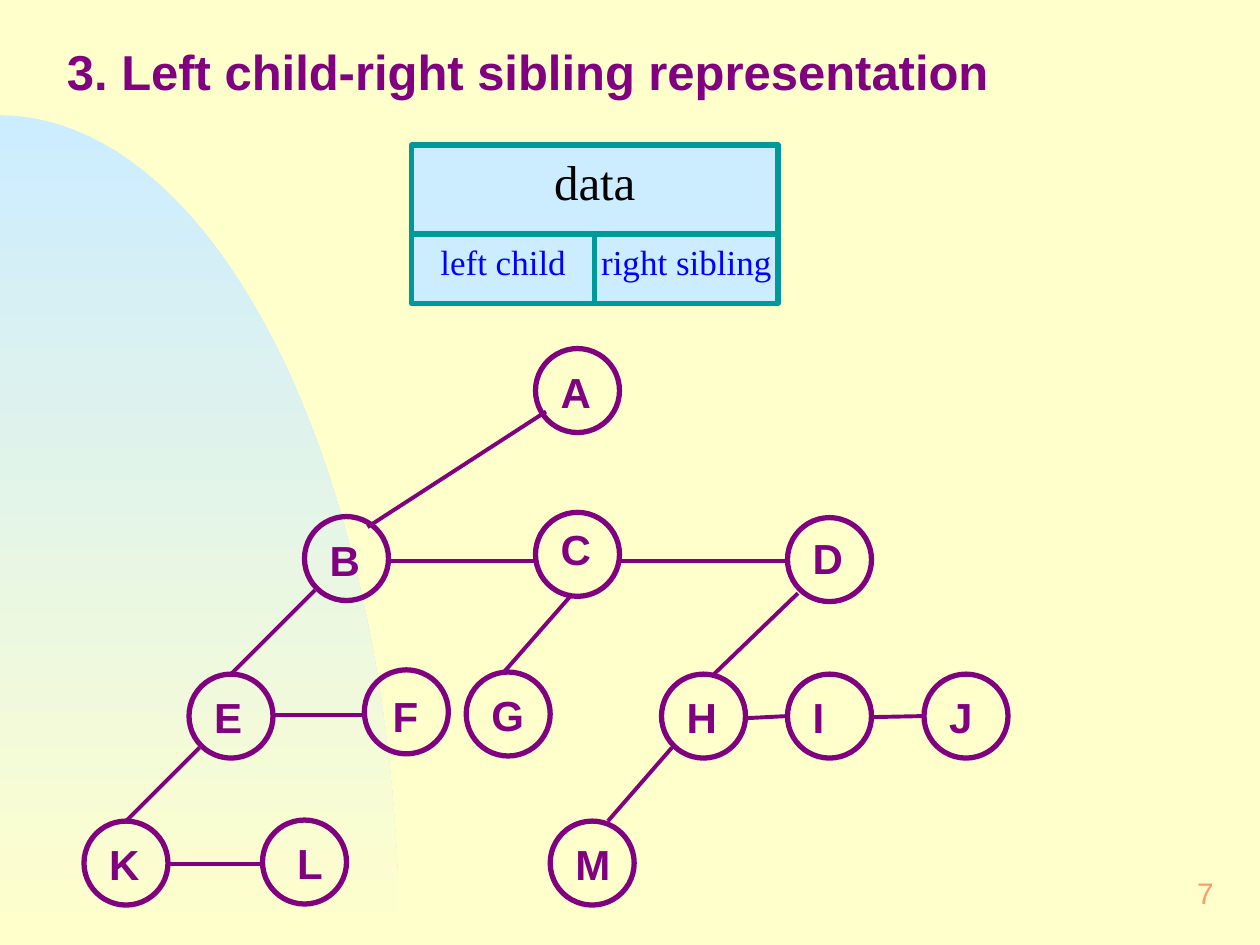
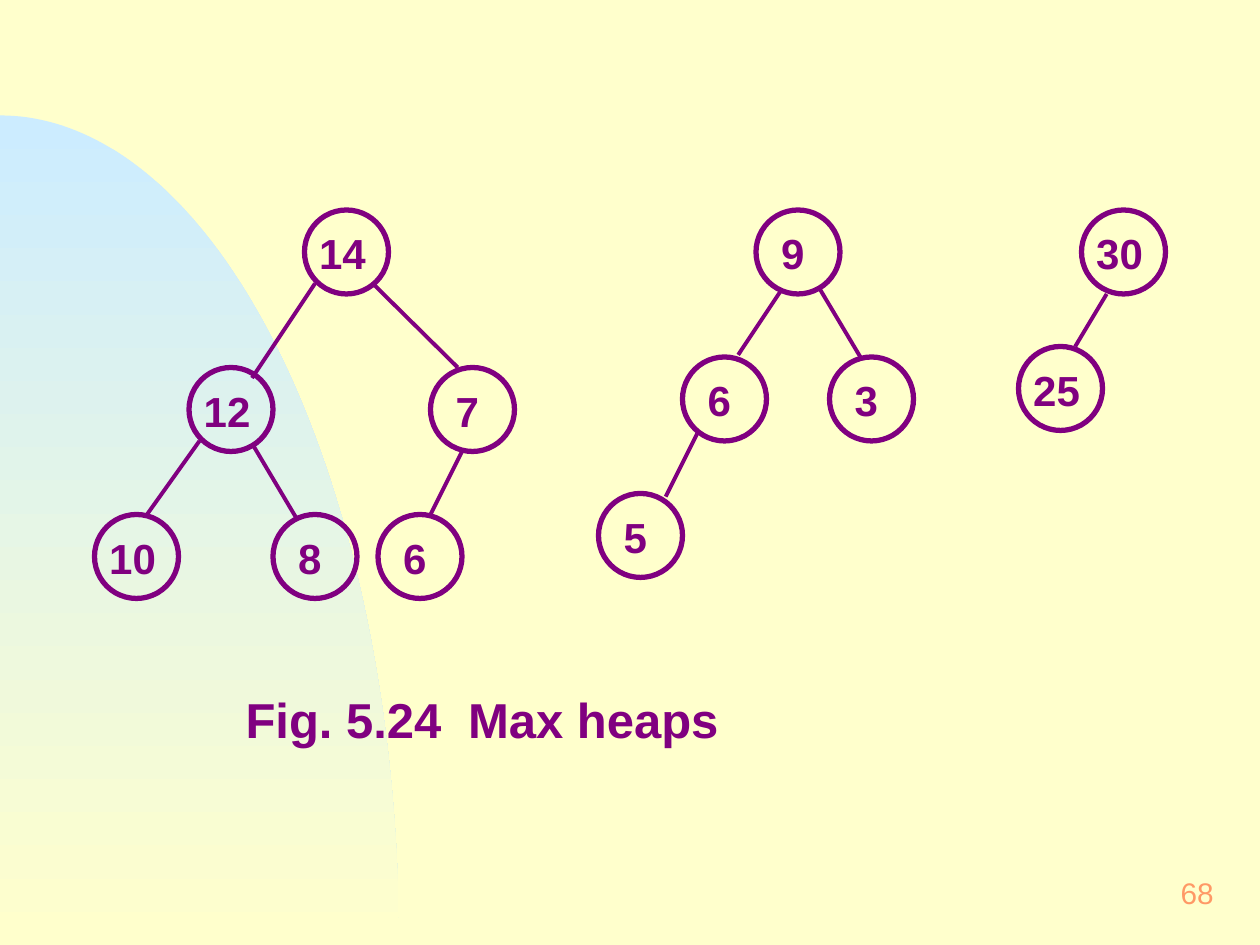
from dataclasses import dataclass
from math import cos, pi, sin

from lxml.etree import SubElement
from pptx import Presentation
from pptx.dml.color import RGBColor
from pptx.enum.shapes import MSO_CONNECTOR, MSO_SHAPE
from pptx.enum.text import MSO_ANCHOR, PP_ALIGN
from pptx.oxml.ns import qn
from pptx.util import Inches, Pt

CREAM = RGBColor(0xFF, 0xFF, 0xCC)
SKY = RGBColor(0xCC, 0xEC, 0xFF)
PURPLE = RGBColor(0x80, 0x00, 0x80)
TEAL = RGBColor(0x00, 0x99, 0x99)
BLUE = RGBColor(0x00, 0x00, 0xFF)
NEAR_BLACK = RGBColor(0x01, 0x00, 0x00)
ORANGE = RGBColor(0xFF, 0x99, 0x66)

SANS, SERIF = "Arial", "Times New Roman"
CELL = Inches(10) // 120  # the slide is a grid of 120 columns by 90 rows
COLUMNS, ROWS = 120, 90
NODE = 8  # diameter of a tree node, in cells


def grid(*cells):
    return [round(cell * CELL) for cell in cells]


def write(frame, text, size=24, font=SANS, color=PURPLE, bold=True, align=PP_ALIGN.LEFT,
          anchor=MSO_ANCHOR.TOP, wrap=True, inset=1.4, tab=None):
    """Fill a text frame with one formatted line; inset and tab are in cells."""
    frame.word_wrap = wrap
    frame.vertical_anchor = anchor
    frame.margin_left, frame.margin_right = grid(inset, inset)
    frame.margin_top, frame.margin_bottom = grid(inset / 2, inset / 2)
    paragraph = frame.paragraphs[0]
    paragraph.alignment = align
    if tab:
        stops = SubElement(paragraph._p.get_or_add_pPr(), qn("a:tabLst"))
        SubElement(stops, qn("a:tab"), pos=str(grid(tab)[0]), algn="l")
    run = paragraph.add_run()
    run.text = text
    run.font.name, run.font.size, run.font.bold = font, Pt(size), bold
    run.font.color.rgb = color


@dataclass
class Node:
    """A tree node: top left corner, and the offset of its label."""
    column: float
    row: float
    label_x: float = 1
    label_y: float = 1

    def point(self, offset):
        return self.column + offset[0], self.row + offset[1]


class Deck:
    def __init__(self):
        self.presentation = Presentation()
        self.presentation.slide_width = COLUMNS * CELL
        self.presentation.slide_height = ROWS * CELL

    def slide(self, number):
        self.current = self.presentation.slides.add_slide(self.presentation.slide_layouts[6])
        self.shapes = self.current.shapes
        background = self.current.background.fill
        background.solid()
        background.fore_color.rgb = CREAM
        self.dome()
        self.text(str(number), 92, 82, 25, 6, size=17, color=ORANGE, bold=False,
                  align=PP_ALIGN.RIGHT, anchor=MSO_ANCHOR.MIDDLE)

    def dome(self, width=38, height=79, steps=90):
        """Quarter ellipse that fades downwards in the lower left corner."""
        angles = [pi / 2 * step / steps for step in range(steps + 1)]
        arc = [grid(width * sin(angle), ROWS - height * cos(angle)) for angle in angles]
        outline = self.shapes.build_freeform(*grid(0, ROWS))
        outline.add_line_segments(arc)
        dome = outline.convert_to_shape()
        dome.shadow.inherit = False
        dome.line.fill.background()
        dome.fill.gradient()
        dome.fill.gradient_angle = 270
        for stop, color, position in zip(dome.fill.gradient_stops, (SKY, CREAM), (0, 1)):
            stop.color.rgb, stop.position = color, position

    def group(self):
        """Send the following elements to a new group on the current slide."""
        self.shapes = self.current.shapes.add_group_shape().shapes

    def text(self, text, column, row, width, height, **style):
        write(self.shapes.add_textbox(*grid(column, row, width, height)).text_frame,
              text, **style)

    def outlined(self, preset, column, row, width, height, line, fill=None):
        shape = self.shapes.add_shape(preset, *grid(column, row, width, height))
        shape.shadow.inherit = False
        shape.line.color.rgb, shape.line.width = line, Pt(3)
        if fill is None:
            shape.fill.background()
        else:
            shape.fill.solid()
            shape.fill.fore_color.rgb = fill
        return shape

    def field(self, text, column, row, width, height, **style):
        box = self.outlined(MSO_SHAPE.RECTANGLE, column, row, width, height, TEAL, SKY)
        write(box.text_frame, text, font=SERIF, bold=False, align=PP_ALIGN.CENTER,
              wrap=False, inset=1.2, **style)

    def edge(self, start, end):
        line = self.shapes.add_connector(MSO_CONNECTOR.STRAIGHT, *grid(*start, *end))
        line.line.color.rgb, line.line.width = PURPLE, Pt(2.25)
        SubElement(line._element.spPr, qn("a:effectLst"))

    def tree(self, nodes, edges):
        """Edges are (parent, child, offset in parent, offset in child)."""
        for label, node in nodes.items():
            self.outlined(MSO_SHAPE.OVAL, node.column, node.row, NODE, NODE, PURPLE)
            wide = len(label) > 1
            offset = (0 if wide else node.label_x, node.label_y)
            self.text(label, *node.point(offset), 9 if wide else 6, 6.2)
        for parent, child, leave, arrive in edges:
            self.edge(nodes[parent].point(leave), nodes[child].point(arrive))


def sibling_slide(deck):
    deck.slide(7)
    deck.text("3. Left child-right sibling representation", 5.2, 3.4, 109.7, 6.8,
              size=28, inset=1.2)

    # Record layout of one node
    deck.group()
    left, top, half, data_height = 39.2, 13.8, 17.45, 8.5
    deck.field("data", left, top, 2 * half, data_height, size=28, color=NEAR_BLACK)
    for index, name in enumerate(("left child", "right sibling")):
        deck.field(name, left + index * half, top + data_height, half, 6.6,
                   size=20, color=BLUE)

    # Tree: left children go down, siblings go right
    deck.group()
    nodes = {
        "A": Node(51, 33.2),
        "B": Node(29, 49.2), "C": Node(51, 48.8, label_y=0.4),
        "D": Node(75, 49.3, label_y=0.7),
        "E": Node(18, 64.2), "F": Node(34.7, 63.8, 1.3, 1.3), "G": Node(44.4, 64),
        "H": Node(63, 64.2), "I": Node(75, 64.2), "J": Node(88, 64.2),
        "K": Node(8, 78.2), "L": Node(25, 78.1, label_x=1.9), "M": Node(52.4, 78.2),
    }
    left_children = [
        ("A", "B", (1, 6), (6, 1)),
        ("B", "E", (1, 7), (4, 0)),
        ("C", "G", (3.4, 7.9), (3.6, 0)),
        ("D", "H", (1, 7.2), (5, 0)),
        ("E", "K", (1, 7), (4, 0)),
        ("H", "M", (1, 7), (5.5, 0)),
    ]
    siblings = [
        (first, second, (NODE, leave), (0, arrive))
        for first, second, leave, arrive in (
            ("B", "C", 4.2, 4.6), ("C", "D", 4.6, 4.1), ("E", "F", 3.9, 4.3),
            ("H", "I", 4.2, 4), ("I", "J", 4.1, 4), ("K", "L", 4.1, 4.2))
    ]
    deck.tree(nodes, left_children + siblings)


def heaps_slide(deck):
    deck.slide(68)
    deck.text("Fig. 5.24\tMax heaps", 22, 65, 79, 7, size=28, tab=21.2)

    # Heap with root 14
    deck.tree(
        {"14": Node(29, 20), "12": Node(18, 35), "7": Node(41, 35),
         "10": Node(9, 49), "8": Node(26, 49), "6": Node(36, 49)},
        [("14", "12", (1, 7), (6, 1)), ("14", "7", (6.5, 7), (2.6, 0)),
         ("12", "10", (1, 7), (5, 0)), ("12", "8", (6.1, 7.4), (2.2, 0.3)),
         ("7", "6", (3, 8), (5, 0))])

    # Heap with root 9
    deck.tree(
        {"9": Node(72, 20), "6": Node(65, 34), "3": Node(79, 34), "5": Node(57, 47)},
        [("9", "6", (2.3, 7.8), (5.3, -0.2)), ("9", "3", (6, 7.4), (3, 0.1)),
         ("6", "5", (1.4, 7.3), (6.4, 0.3))])

    # Heap with root 30
    deck.tree({"30": Node(103, 20), "25": Node(97, 33)},
              [("30", "25", (2.4, 8), (5.4, 0))])


def main():
    deck = Deck()
    sibling_slide(deck)
    heaps_slide(deck)
    deck.presentation.save("out.pptx")


if __name__ == "__main__":
    main()
